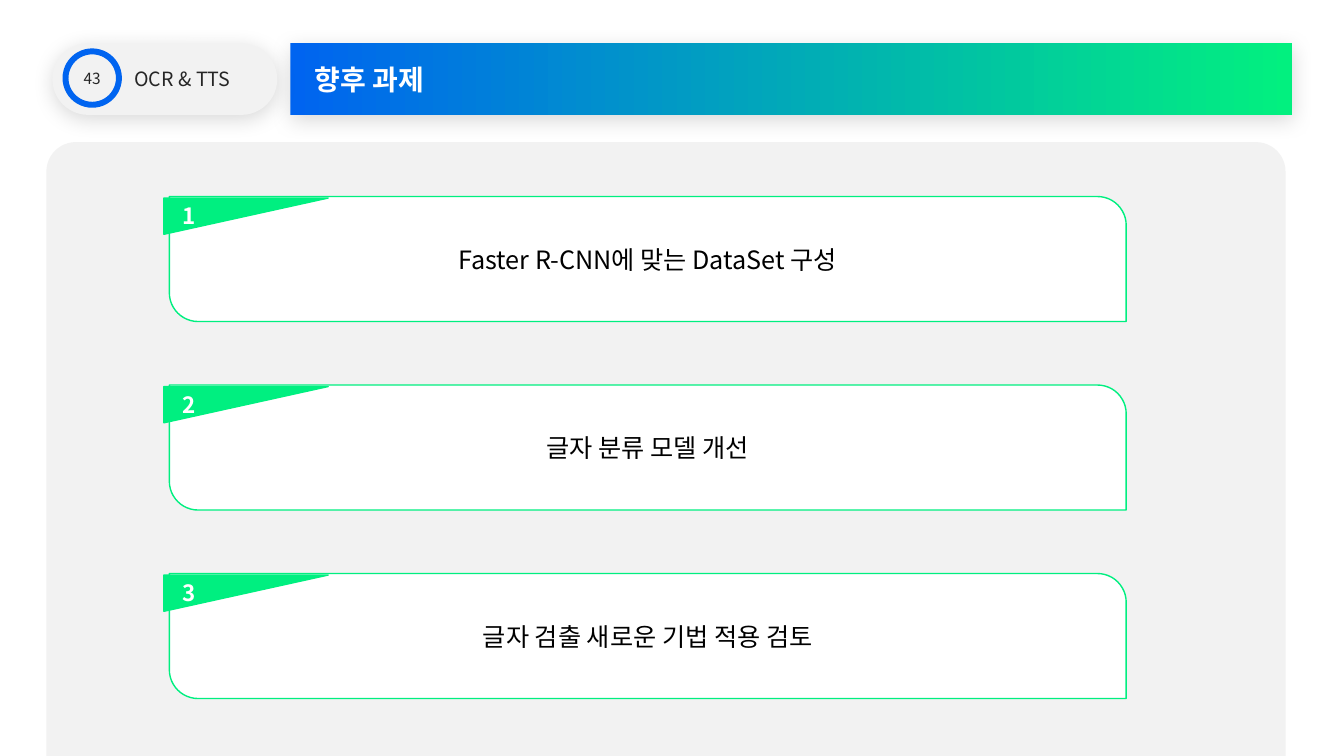
from lxml import etree
from pptx import Presentation
from pptx.dml.color import RGBColor
from pptx.enum import shapes, text
from pptx.oxml import ns
from pptx.util import Inches, Pt

FONT = "Noto Sans CJK KR"
BLUE = RGBColor(0x00, 0x64, 0xF0)
MINT = RGBColor(0x02, 0xF0, 0x7F)
GREEN = RGBColor(0x00, 0xEF, 0x80)
GRAY = RGBColor(0xF2, 0xF2, 0xF2)
DARK = RGBColor(0x26, 0x26, 0x26)
BLACK = RGBColor(0, 0, 0)
WHITE = RGBColor(0xFF, 0xFF, 0xFF)
KIND = shapes.MSO_SHAPE
LEFT, MID = text.PP_ALIGN.LEFT, text.PP_ALIGN.CENTER

deck = Presentation()
deck.slide_width, deck.slide_height = Inches(13.33), Inches(7.5)
slide = deck.slides.add_slide(deck.slide_layouts[5])


def draw(kind, box, fill=None, line=None, width=1):
    """Add a preset shape without shadow; box is left, top, width, height in inches."""
    shape = slide.shapes.add_shape(kind, *map(Inches, box))
    shape.shadow.inherit = False
    if fill is None:
        shape.fill.background()
    else:
        shape.fill.solid()
        shape.fill.fore_color.rgb = fill
    if line is None:
        shape.line.fill.background()
    else:
        shape.line.color.rgb = line
        shape.line.width = Pt(width)
    return shape


def write(shape, words, size, color, align=MID, bold=False, inset=0.1,
          anchor=text.MSO_ANCHOR.MIDDLE):
    frame = shape.text_frame
    frame.word_wrap = True
    frame.auto_size = text.MSO_AUTO_SIZE.NONE
    frame.vertical_anchor = anchor
    frame.margin_left, frame.margin_right = Inches(inset), Inches(0.1)
    frame.margin_top = frame.margin_bottom = Inches(0.05)
    para = frame.paragraphs[0]
    para.alignment = align
    run = para.add_run()
    run.text = words
    font = run.font
    font.size, font.bold, font.name = Pt(size), bold, FONT
    font.color.rgb = color
    etree.SubElement(run._r.rPr, ns.qn("a:ea"), typeface=FONT)


# Header: section pill, page ring and title bar
pill = draw(KIND.ROUNDED_RECTANGLE, (0.52, 0.43, 2.23, 0.71), GRAY)
pill.adjustments[0] = 0.5
write(pill, "OCR & TTS", 14, DARK, LEFT, inset=0.71)

ring = draw(KIND.OVAL, (0.65, 0.51, 0.53, 0.53), line=BLUE, width=4.25)
write(ring, "43", 11, DARK)

title = slide.shapes.title
title.left, title.top = Inches(2.88), Inches(0.43)
title.width, title.height = Inches(9.93), Inches(0.71)
geom = etree.SubElement(title._element.spPr, ns.qn("a:prstGeom"), prst="roundRect")
guides = etree.SubElement(geom, ns.qn("a:avLst"))
etree.SubElement(guides, ns.qn("a:gd"), name="adj", fmla="val 50000")
title.fill.gradient()
title.fill.gradient_angle = 0
for stop, place, color in zip(title.fill.gradient_stops, (0, 1), (BLUE, MINT)):
    stop.position = place
    stop.color.rgb = color
title.shadow.inherit = False
write(title, "향후 과제", 20, WHITE, LEFT, True, 0.24)

for shape in (pill, title):
    effects = shape._element.spPr.find(ns.qn("a:effectLst"))
    shade = etree.SubElement(effects, ns.qn("a:outerShdw"), blurRad=str(Pt(15)),
                             dist=str(Pt(3)), dir="5400000", algn="t", rotWithShape="0")
    tone = etree.SubElement(shade, ns.qn("a:srgbClr"), val=str(BLACK))
    etree.SubElement(tone, ns.qn("a:alpha"), val="14000")

# Body panel with numbered cards
panel = draw(KIND.ROUND_2_SAME_RECTANGLE, (0.46, 1.41, 12.29, 6.09), GRAY)
panel.adjustments[0] = 0.048

tasks = ["Faster R-CNN에 맞는 DataSet 구성", "글자 분류 모델 개선", "글자 검출 새로운 기법 적용 검토"]
for i, task in enumerate(tasks):
    top = 1.95 + 1.87 * i
    card = draw(KIND.ROUND_2_DIAG_RECTANGLE, (1.68, top, 9.49, 1.24), WHITE, GREEN)
    card.adjustments[0] = 0.23
    card._element.spPr.xfrm.set("flipH", "1")
    write(card, task, 18, BLACK)

    flag = draw(KIND.RIGHT_TRIANGLE, (2.26, top - 0.62, 0.36, 1.63), GREEN, GREEN)
    flag.rotation = 90

    label = slide.shapes.add_textbox(Inches(1.71), Inches(top + 0.01), Inches(0.41), Inches(0.37))
    write(label, str(i + 1), 16, WHITE, LEFT, True, anchor=text.MSO_ANCHOR.TOP)

deck.save("out.pptx")
